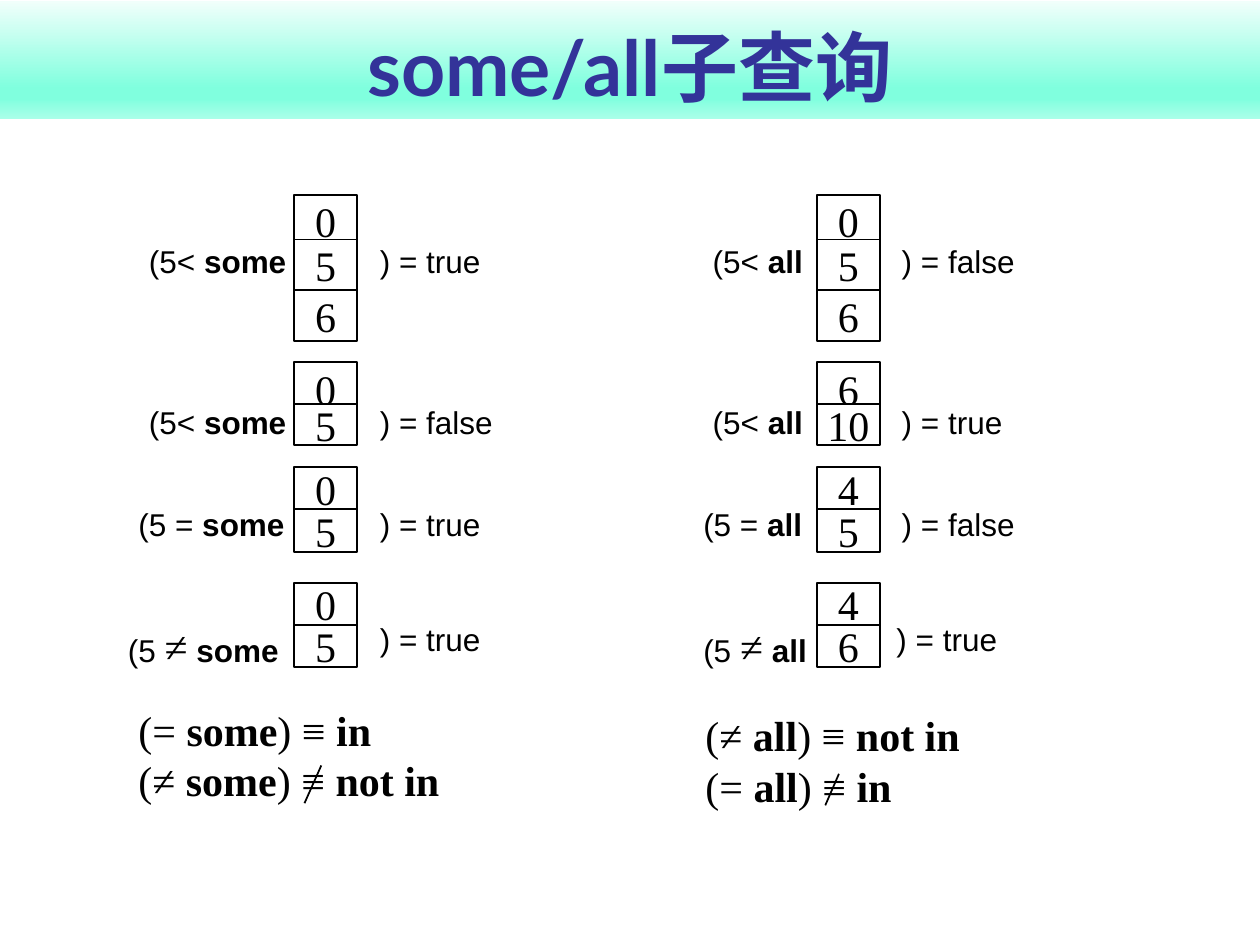
from dataclasses import dataclass

from lxml import etree
from pptx import Presentation, util as u
from pptx.dml.color import RGBColor
from pptx.enum import shapes, text
from pptx.oxml.ns import qn


@dataclass(frozen=True)
class Theme:
    ink: str = "000000"
    paper: str = "FFFFFF"
    heading: str = "333399"
    band: tuple = ((0, "F1FFFB"), (74, "80FFDE"), (83, "80FFDE"), (100, "AAFFE9"))
    heading_font: str = "Lato"
    label_font: str = "Arial"
    serif_font: str = "Times New Roman"
    heading_size: int = 44
    label_size: int = 18
    serif_size: int = 24


THEME = Theme()
COLUMNS, ROWS = 120, 90  # grid over the whole slide
SERIF = (THEME.serif_font, THEME.serif_size)
LABEL = (THEME.label_font, THEME.label_size)

prs = Presentation()
prs.slide_width, prs.slide_height = u.Inches(10), u.Inches(7.5)


def grid(x, y):
    return round(prs.slide_width * x / COLUMNS), round(prs.slide_height * y / ROWS)


def grid_box(x, y, w, h):
    return *grid(x, y), *grid(w, h)


def color(value):
    return RGBColor.from_string(value)


def add_run(paragraph, words, style, bold=False, ink=THEME.ink):
    run = paragraph.add_run()
    run.text = words
    run.font.name, run.font.size = style[0], u.Pt(style[1])
    run.font.bold = bold
    run.font.color.rgb = color(ink)


def add_words(group, box, lines):
    """Text box; each line is a list of (words, style, bold)."""
    frame = group.shapes.add_textbox(*grid_box(*box)).text_frame
    frame.word_wrap = True
    for number, line in enumerate(lines):
        paragraph = frame.add_paragraph() if number else frame.paragraphs[0]
        for words, style, bold in line:
            add_run(paragraph, words, style, bold)


def title_band(slide, box, words):
    title = slide.shapes.title
    title.left, title.top, title.width, title.height = grid_box(*box)
    title.fill.gradient()
    title.fill.gradient_angle = 270
    # Four colour stops need XML
    stops = title._element.spPr.find(".//" + qn("a:gsLst"))
    for stop in list(stops):
        stops.remove(stop)
    for position, value in THEME.band:
        stop = etree.SubElement(stops, qn("a:gs"), pos=str(position * 1000))
        etree.SubElement(stop, qn("a:srgbClr"), val=value)
    frame = title.text_frame
    frame.auto_size = text.MSO_AUTO_SIZE.NONE
    frame.vertical_anchor = text.MSO_ANCHOR.BOTTOM
    heading = frame.paragraphs[0]
    heading.alignment = text.PP_ALIGN.CENTER
    add_run(heading, words, (THEME.heading_font, THEME.heading_size), True, THEME.heading)


def member_cell(group, box, value):
    cell = group.shapes.add_shape(shapes.MSO_SHAPE.RECTANGLE, *grid_box(*box))
    cell.shadow.inherit = False
    cell.fill.solid()
    cell.fill.fore_color.rgb = color(THEME.paper)
    cell.line.color.rgb = color(THEME.ink)
    cell.line.width = u.Pt(1)
    frame = cell.text_frame
    frame.word_wrap = False
    frame.vertical_anchor = text.MSO_ANCHOR.MIDDLE
    paragraph = frame.paragraphs[0]
    paragraph.alignment = text.PP_ALIGN.CENTER
    add_run(paragraph, value, SERIF)


def comparison(slide, column, label_at, result_at, row, operator, quantifier,
               members, result):
    """One expression: (5 operator quantifier {members}) = result."""
    group = slide.shapes.add_group_shape()
    for (top, height), value in zip(row["cells"], members):
        member_cell(group, (column, top, 6, height), value)
    if operator == "≠":
        start, label_height = [("(5 ", LABEL, False), ("≠", SERIF, False),
                               (" ", LABEL, False)], 6
    else:
        start, label_height = [(f"(5{operator} ", LABEL, False)], 4.8
    add_words(group, (label_at, row["text"], 19, label_height),
              [start + [(quantifier, LABEL, True)]])
    add_words(group, (result_at, row["text"], 16, 4.8),
              [[(f") = {result}", LABEL, False)]])


def conclusion(slide, box, quantifier, equivalences, stroke):
    """Two equivalences, the second one struck through at its sign."""
    group = slide.shapes.add_group_shape()
    add_words(group, box, [
        [(f"({operator} ", SERIF, False), (quantifier, SERIF, True),
         (") ≡ ", SERIF, False), (meaning, SERIF, True)]
        for operator, meaning in equivalences])
    start, end = stroke
    strike = group.shapes.add_connector(shapes.MSO_CONNECTOR.STRAIGHT,
                                        *grid(*start), *grid(*end))
    strike.line.color.rgb = color(THEME.ink)
    strike.line.width = u.Pt(1)
    etree.SubElement(strike._element.spPr, qn("a:effectLst"))


# Cells as (top, height), and the top of the text beside them
EXPRESSION_ROWS = [
    {"cells": [(18.6, 4.9), (22.8, 4.9), (27.6, 4.9)], "text": 22.5},
    {"cells": [(34.5, 5), (38.5, 3.9)], "text": 37.8},
    {"cells": [(44.5, 4.05), (48.5, 4.05)], "text": 47.5},
    {"cells": [(55.5, 4.05), (59.5, 4.05)], "text": 58.5},
]
OPERATORS = ["<", "<", " =", "≠"]

# Per quantifier: members column, label and result columns, (members, result)
QUANTIFIERS = {
    "some": (28, [13, 13, 12, 11], [35, 35, 35, 35],
             [("056", "true"), ("05", "false"), ("05", "true"), ("05", "true")]),
    "all": (77.8, [66.7, 66.7, 65.8, 65.8], [84.7, 84.7, 84.7, 84.2],
            [("056", "false"), (("6", "10"), "true"), ("45", "false"), ("46", "true")]),
}


def main():
    slide = prs.slides.add_slide(prs.slide_layouts[5])
    title_band(slide, (0, 0.1, COLUMNS, 11.2), "some/all子查询")

    # Comparisons, one column for each quantifier
    for quantifier, (column, labels, results, cases) in QUANTIFIERS.items():
        for row, operator, label_at, result_at, (members, result) in zip(
                EXPRESSION_ROWS, OPERATORS, labels, results, cases):
            comparison(slide, column, label_at, result_at, row, operator,
                       quantifier, members, result)

    # Conclusions
    conclusion(slide, (12, 66.5, 35, 9.4), "some",
               [("=", "in"), ("≠", "not in")], ((30.6, 72.9), (29, 76.5)))
    conclusion(slide, (66, 67, 40, 9.4), "all",
               [("≠", "not in"), ("=", "in")], ((79.9, 73.7), (78.6, 76.7)))
    prs.save("out.pptx")


if __name__ == "__main__":
    main()
